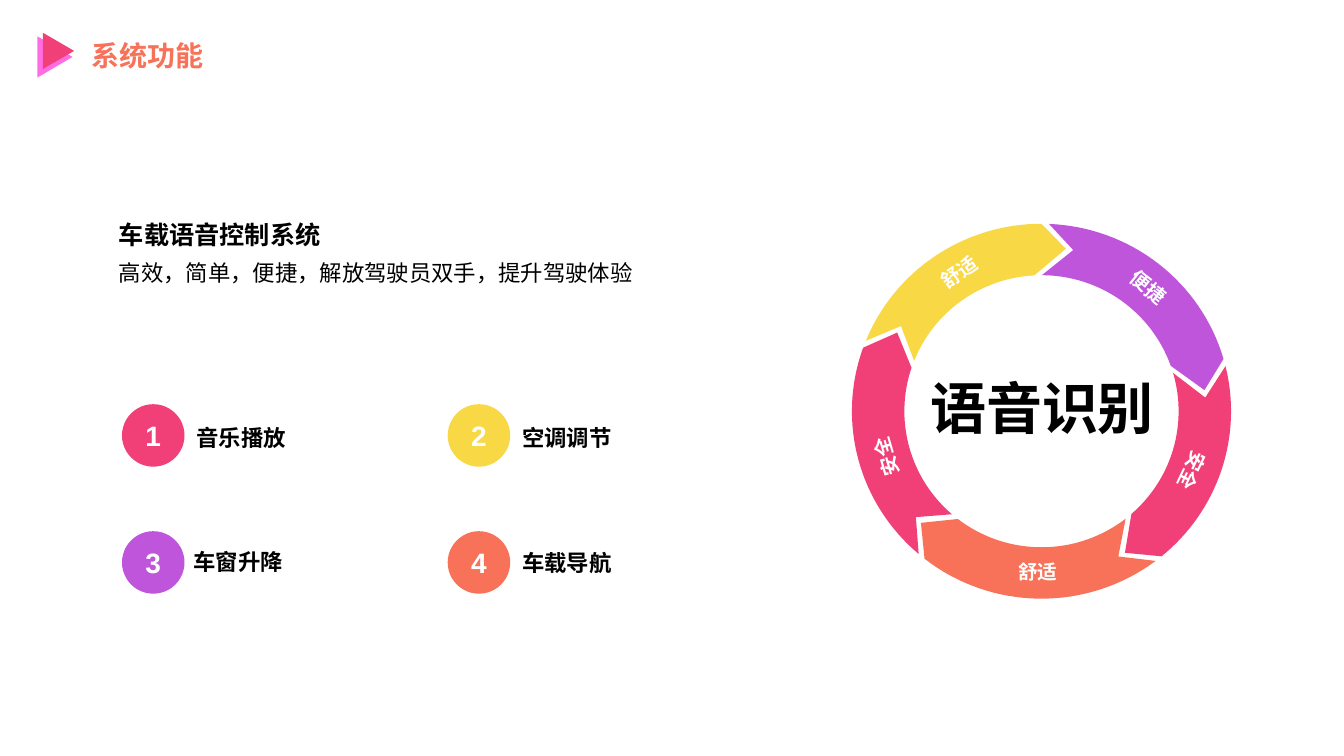
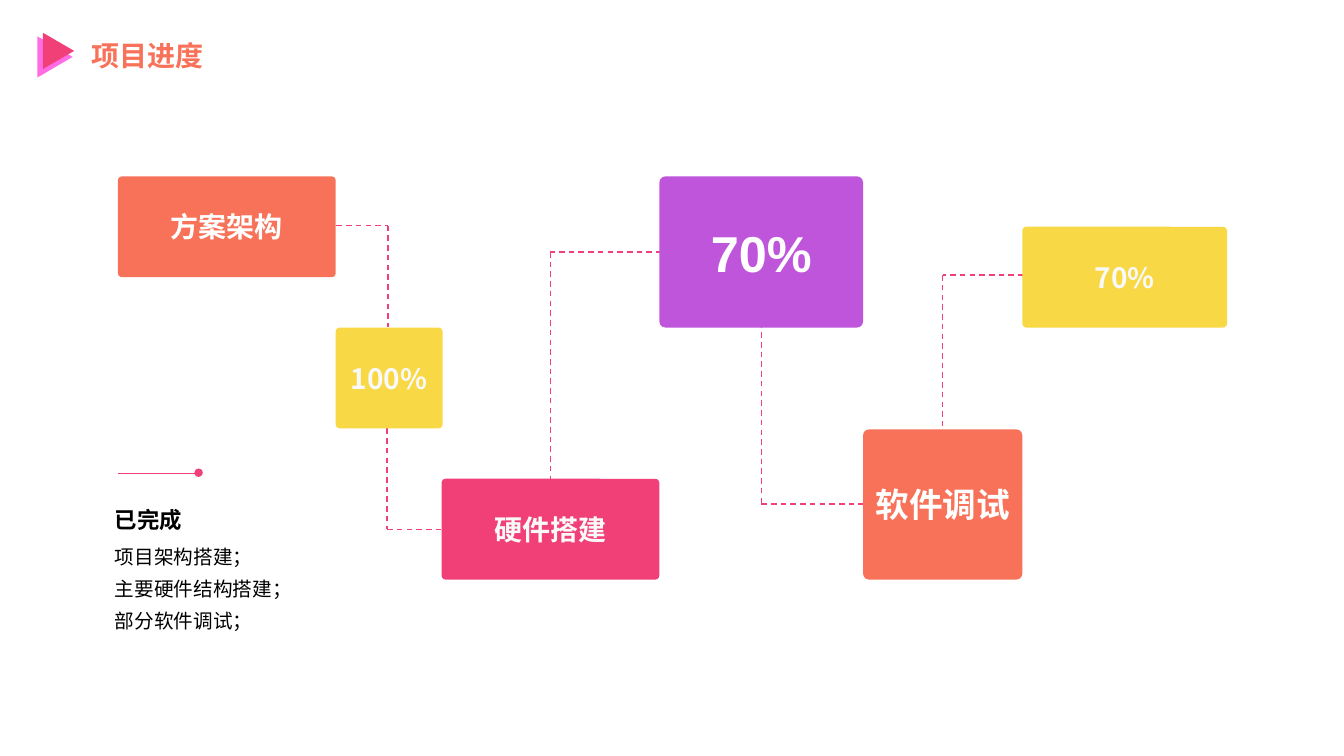
from dataclasses import dataclass, replace
from itertools import pairwise
from math import cos, degrees, radians, sin
from typing import NamedTuple

from lxml.etree import SubElement
from pptx import Presentation
from pptx.dml.color import RGBColor
from pptx.enum.dml import MSO_LINE
from pptx.enum.shapes import MSO_CONNECTOR, MSO_SHAPE
from pptx.enum.text import MSO_ANCHOR, MSO_AUTO_SIZE, PP_ALIGN
from pptx.oxml.ns import qn
from pptx.shapes.autoshape import Shape
from pptx.shapes.connector import Connector
from pptx.slide import Slide
from pptx.text.text import TextFrame
from pptx.util import Inches, Pt


# Theme: colours, fonts and type sizes
@dataclass(frozen=True)
class Theme:
    pink: str = "F04077"
    yellow: str = "F8D845"
    purple: str = "BF55DB"
    orange: str = "F77258"
    magenta: str = "FF6CE4"
    black: str = "000000"
    white: str = "FFFFFF"
    off_white: str = "F9F9F9"
    latin: str = "Arial"
    chinese: str = "Noto Sans CJK SC"
    ring_latin: str = "Roboto"
    small: int = 14
    normal: int = 16
    heading: int = 18
    title: int = 20
    large: int = 24
    figure: int = 36
    hub: int = 40


THEME = Theme()


@dataclass(frozen=True)
class TextStyle:
    size: int
    color: str = THEME.black
    font: str = THEME.latin
    bold: bool = True
    before: float = 0.2  # share of the type size
    line_spacing: float = 1.0
    align: PP_ALIGN = PP_ALIGN.LEFT


TITLE = TextStyle(THEME.title, THEME.orange, THEME.chinese, before=0)
BODY = TextStyle(THEME.normal, font=THEME.chinese, bold=False, line_spacing=1.2)
LABEL = TextStyle(THEME.normal)
RING_LABEL = TextStyle(THEME.small, THEME.white, align=PP_ALIGN.CENTER)
IN_SHAPE = TextStyle(THEME.title, THEME.white, before=0, align=PP_ALIGN.CENTER)
IN_SHAPE_CHINESE = replace(IN_SHAPE, color=THEME.off_white, font=THEME.chinese)


class Box(NamedTuple):
    left: float
    top: float
    width: float
    height: float


class Point(NamedTuple):
    x: float
    y: float


class Joint(NamedTuple):
    """Clockwise degrees from the top where one ring arrow ends."""
    inner: float
    outer: float
    tip: float


class RingLabel(NamedTuple):
    text: str
    box: Box
    rotation: float
    font: str = THEME.latin


class Feature(NamedTuple):
    text: str
    color: str
    label_at: Point


class Block(NamedTuple):
    text: str
    box: Box
    color: str
    style: TextStyle


# Drawing helpers
def inches(box: Box) -> list[Inches]:
    return [Inches(length) for length in box]


def write_text(frame: TextFrame, lines: list[str], style: TextStyle) -> None:
    for index, line in enumerate(lines):
        paragraph = frame.paragraphs[0] if index == 0 else frame.add_paragraph()
        paragraph.alignment = style.align
        paragraph.line_spacing = style.line_spacing
        paragraph.space_before = Pt(style.size * style.before)
        run = paragraph.add_run()
        run.text = line
        run.font.size = Pt(style.size)
        run.font.bold = style.bold
        run.font.color.rgb = RGBColor.from_string(style.color)
        run.font.name = style.font
        SubElement(run.font._element, qn("a:ea"), typeface=THEME.chinese)


def set_frame(frame: TextFrame, inset: bool, grow: bool = True) -> None:
    frame.word_wrap = True
    frame.auto_size = MSO_AUTO_SIZE.SHAPE_TO_FIT_TEXT if grow else MSO_AUTO_SIZE.NONE
    frame.vertical_anchor = MSO_ANCHOR.TOP if grow else MSO_ANCHOR.MIDDLE
    frame.margin_left = frame.margin_right = Inches(0.1 if inset else 0)
    frame.margin_top = frame.margin_bottom = Inches(0.05 if inset else 0)


def add_text(slide: Slide, box: Box, text: str, style: TextStyle,
             inset: bool = False, rotation: float = 0) -> None:
    shape = slide.shapes.add_textbox(*inches(box))
    shape.rotation = rotation
    set_frame(shape.text_frame, inset)
    write_text(shape.text_frame, [text], style)


def paint(shape: Shape, color: str) -> None:
    shape.shadow.inherit = False
    shape.fill.solid()
    shape.fill.fore_color.rgb = RGBColor.from_string(color)
    shape.line.fill.background()


def add_shape(slide: Slide, kind: MSO_SHAPE, box: Box, color: str) -> Shape:
    shape = slide.shapes.add_shape(kind, *inches(box))
    paint(shape, color)
    return shape


def add_line(slide: Slide, start: Point, end: Point, width: float) -> Connector:
    line = slide.shapes.add_connector(
        MSO_CONNECTOR.STRAIGHT, *(Inches(value) for value in (*start, *end)))
    line.line.color.rgb = RGBColor.from_string(THEME.pink)
    line.line.width = Pt(width)
    SubElement(line._element.spPr, qn("a:effectLst"))
    return line


def fill_placeholder(shape: Shape, box: Box, lines: list[str],
                     style: TextStyle, inset: bool) -> None:
    shape.left, shape.top, shape.width, shape.height = inches(box)
    set_frame(shape.text_frame, inset)
    write_text(shape.text_frame, lines, style)
    for paragraph in shape.text_frame.paragraphs:
        properties = paragraph._p.get_or_add_pPr()
        properties.set("marL", "0")
        properties.set("indent", "0")
        SubElement(properties, qn("a:buNone"))


def add_slide(presentation: Presentation, title: str, body_box: Box,
              body: list[str], body_style: TextStyle) -> Slide:
    """Add a slide with the shared title, title mark and body text."""
    slide = presentation.slides.add_slide(presentation.slide_layouts[1])
    fill_placeholder(slide.shapes.title, Box(0.81, 0.33, 2.22, 0.44),
                     [title], TITLE, inset=True)
    fill_placeholder(slide.placeholders[1], body_box, body, body_style, inset=False)
    for box, color in ((Box(0.34, 0.39, 0.41, 0.35), THEME.magenta),
                       (Box(0.4, 0.35, 0.36, 0.31), THEME.pink)):
        add_shape(slide, MSO_SHAPE.ISOSCELES_TRIANGLE, box, color).rotation = 90
    return slide


# Ring of arrows
CENTER = Point(10.33, 4.08)
INNER, MIDDLE, OUTER = Point(1.36, 1.35), Point(1.63, 1.63), Point(1.88, 1.86)
RING_GAP = 0.075
JOINTS = [Joint(-3, 0, 8.5), Joint(70.5, 73.8, 82.6), Joint(139, 140.7, 149.5),
          Joint(217.6, 218.1, 227.2), Joint(288.6, 289.8, 298.6)]
RING_COLORS = [THEME.purple, THEME.pink, THEME.orange, THEME.pink, THEME.yellow]
RING_LABELS = [
    RingLabel("便捷", Box(10.79, 2.68, 1.2, 0.34), 38.3, THEME.ring_latin),
    RingLabel("安全", Box(11.2, 4.5, 1.25, 0.34), 115.3),
    RingLabel("安全", Box(8.17, 4.36, 1.25, 0.34), 253.7),
    RingLabel("舒适", Box(9.68, 5.51, 1.23, 0.34), 0),
    RingLabel("舒适", Box(8.89, 2.53, 1.25, 0.34), 325.3),
]


def ring_point(radius: Point, angle: float) -> tuple[int, int]:
    turn = radians(angle)
    return (Inches(CENTER.x + radius.x * sin(turn)),
            Inches(CENTER.y - radius.y * cos(turn)))


def arc(radius: Point, start: float, end: float, steps: int = 32) -> list[tuple[int, int]]:
    return [ring_point(radius, start + (end - start) * step / steps)
            for step in range(steps + 1)]


def after_gap(radius: Point, angle: float) -> float:
    return angle + degrees(RING_GAP / radius.x)


def add_ring_arrow(slide: Slide, start: Joint, end: Joint, color: str) -> None:
    points = [
        *arc(INNER, after_gap(INNER, start.inner), end.inner),
        ring_point(MIDDLE, end.tip),
        *arc(OUTER, end.outer, after_gap(OUTER, start.outer)),
        ring_point(MIDDLE, after_gap(MIDDLE, start.tip)),
    ]
    builder = slide.shapes.build_freeform(*points[0])
    builder.add_line_segments(points[1:], close=True)
    paint(builder.convert_to_shape(), color)


# Slide 1: system functions
FEATURES = [
    Feature("音乐播放", THEME.pink, Point(1.95, 4.21)),
    Feature("空调调节", THEME.yellow, Point(5.18, 4.21)),
    Feature("车窗升降", THEME.purple, Point(1.92, 5.44)),
    Feature("车载导航", THEME.orange, Point(5.18, 5.45)),
]


def build_functions(presentation: Presentation) -> None:
    slide = add_slide(presentation, "系统功能", Box(1.18, 2.52, 5.33, 0.3),
                      ["高效，简单，便捷，解放驾驶员双手，提升驾驶体验"], BODY)
    add_text(slide, Box(1.18, 2.18, 2.02, 0.3), "车载语音控制系统",
             replace(LABEL, size=THEME.heading))
    closed_ring = [*JOINTS, Joint(*(angle + 360 for angle in JOINTS[0]))]
    for (start, end), color in zip(pairwise(closed_ring), RING_COLORS):
        add_ring_arrow(slide, start, end, color)
    for label in RING_LABELS:
        add_text(slide, label.box, label.text, replace(RING_LABEL, font=label.font),
                 inset=True, rotation=label.rotation)
    add_text(slide, Box(9.06, 3.66, 2.55, 0.77), "语音识别",
             replace(RING_LABEL, size=THEME.hub, color=THEME.black), inset=True)
    for index, feature in enumerate(FEATURES):
        row, column = divmod(index, 2)
        box = Box(1.21 + 3.23 * column, 4.01 + 1.26 * row, 0.62, 0.62)
        badge = add_shape(slide, MSO_SHAPE.OVAL, box, feature.color)
        set_frame(badge.text_frame, inset=True, grow=False)
        write_text(badge.text_frame, [str(index + 1)], IN_SHAPE)
        add_text(slide, Box(*feature.label_at, 1.68, 0.27), feature.text, LABEL)


# Slide 2: project progress
BLOCKS = [
    Block("方案架构", Box(1.17, 1.75, 2.16, 1), THEME.orange, IN_SHAPE),
    Block("100%", Box(3.33, 3.25, 1.06, 1), THEME.yellow, IN_SHAPE_CHINESE),
    Block("硬件搭建", Box(4.38, 4.75, 2.16, 1), THEME.pink, IN_SHAPE_CHINESE),
    Block("70%", Box(6.54, 1.75, 2.02, 1.5), THEME.purple,
          replace(IN_SHAPE, size=THEME.figure)),
    Block("软件调试", Box(8.56, 4.26, 1.58, 1.49), THEME.orange,
          replace(IN_SHAPE, size=THEME.large)),
    Block("70%", Box(10.14, 2.25, 2.03, 1), THEME.yellow, IN_SHAPE_CHINESE),
]
ROUTES = [
    [Point(3.24, 2.24), Point(3.85, 2.24), Point(3.85, 3.24)],
    [Point(3.84, 4.25), Point(3.84, 5.25), Point(4.44, 5.25)],
    [Point(6.66, 2.5), Point(5.46, 2.5), Point(5.46, 4.81)],
    [Point(7.55, 3.2), Point(7.55, 5), Point(8.75, 5)],
    [Point(10.25, 2.73), Point(9.35, 2.73), Point(9.35, 4.23)],
]


def build_progress(presentation: Presentation) -> None:
    slide = add_slide(presentation, "项目进度", Box(1.14, 5.36, 2.49, 0.92),
                      ["项目架构搭建；", "主要硬件结构搭建；", "部分软件调试；"],
                      replace(BODY, size=THEME.small))
    for route in ROUTES:
        for start, end in pairwise(route):
            add_line(slide, start, end, 1).line.dash_style = MSO_LINE.DASH
    for block in BLOCKS:
        shape = add_shape(slide, MSO_SHAPE.ROUNDED_RECTANGLE, block.box, block.color)
        shape.adjustments[0] = 0.04
        set_frame(shape.text_frame, inset=False, grow=False)
        write_text(shape.text_frame, [block.text], block.style)
    rule = add_line(slide, Point(1.17, 4.69), Point(1.97, 4.69), 0.25)
    SubElement(rule.line._get_or_add_ln(), qn("a:tailEnd"), type="oval")
    add_text(slide, Box(1.14, 5.02, 1.51, 0.27), "已完成", LABEL)


def main() -> None:
    presentation = Presentation()
    presentation.slide_width, presentation.slide_height = Inches(13.33), Inches(7.5)
    build_functions(presentation)
    build_progress(presentation)
    presentation.save("out.pptx")


if __name__ == "__main__":
    main()
